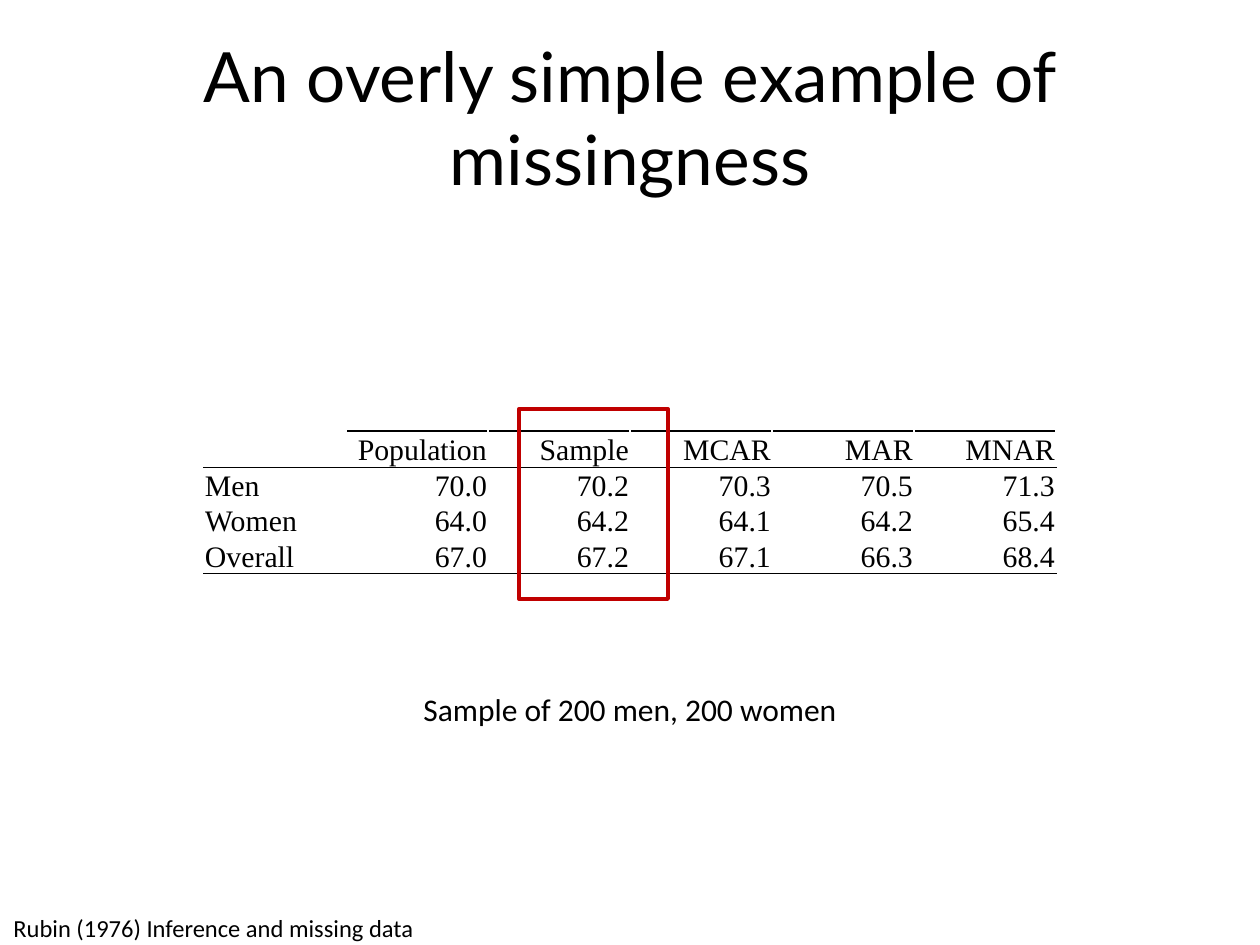
import pptx
import pptx.util
import pptx.dml.color
import pptx.enum.shapes
import pptx.enum.text
import pptx.oxml.ns
import lxml.etree
import collections

SCALE = 914400 / 126
BLACK = pptx.dml.color.RGBColor(0x00, 0x00, 0x00)
WHITE = pptx.dml.color.RGBColor(0xFF, 0xFF, 0xFF)
RED = pptx.dml.color.RGBColor(0xC0, 0x00, 0x00)
ALIGN = pptx.enum.text.PP_ALIGN
ANCHOR = pptx.enum.text.MSO_ANCHOR
Box = collections.namedtuple("Box", "left top width height")

HEIGHTS = [
    ["", "Population", "Sample", "MCAR", "MAR", "MNAR"],
    ["Men", "70.0", "70.2", "70.3", "70.5", "71.3"],
    ["Women", "64.0", "64.2", "64.1", "64.2", "65.4"],
    ["Overall", "67.0", "67.2", "67.1", "66.3", "68.4"],
]


def emu(pixels):
    return pptx.util.Emu(round(pixels * SCALE))


def set_values(target, values):
    for name, value in values.items():
        setattr(target, name, value)


def place(shape, box):
    set_values(shape, {name: emu(value) for name, value in box._asdict().items()})


def write(frame, text, font, size, align):
    para = frame.paragraphs[0]
    para.alignment = align
    span = para.add_run()
    span.text = text
    set_values(span.font, {"name": font, "size": pptx.util.Pt(size)})
    span.font.color.rgb = BLACK
    return para


def add_title(page, box, text):
    title = page.shapes.title
    place(title, box)
    set_values(title.text_frame, {
        "word_wrap": True,
        "vertical_anchor": ANCHOR.MIDDLE,
        "auto_size": pptx.enum.text.MSO_AUTO_SIZE.NONE,
    })
    write(title.text_frame, text, "Lato", 39.6, ALIGN.CENTER)


def add_label(page, box, text, size, align):
    label = page.shapes.add_textbox(*map(emu, box))
    label.text_frame.word_wrap = True
    write(label.text_frame, text, "Calibri", size, align)


def add_border(cell, side, color):
    properties = cell._tc.get_or_add_tcPr()
    tag = pptx.oxml.ns.qn
    line = lxml.etree.SubElement(properties, tag("a:" + side), w="12700")
    fill = lxml.etree.SubElement(line, tag("a:solidFill"))
    lxml.etree.SubElement(fill, tag("a:srgbClr"), val=str(color))


def format_cell(cell, text, row, column, last_row):
    set_values(cell, {
        "margin_left": emu(1),
        "margin_right": emu(1),
        "margin_top": emu(1),
        "margin_bottom": 0,
        "vertical_anchor": ANCHOR.BOTTOM,
    })
    align = ALIGN.RIGHT if column else ALIGN.LEFT
    para = write(cell.text_frame, text, "Times New Roman", 17, align)
    lxml.etree.SubElement(para._p, pptx.oxml.ns.qn("a:endParaRPr"), sz="1700")
    top = BLACK if row == 1 or (row == 0 and column) else WHITE
    bottom = BLACK if row in (0, last_row) else WHITE
    for side, color in {"lnL": WHITE, "lnR": WHITE, "lnT": top, "lnB": bottom}.items():
        add_border(cell, side, color)
    cell.fill.background()


def add_height_table(page, box, rows):
    table = page.shapes.add_table(len(rows), len(rows[0]), *map(emu, box)).table
    set_values(table, {"first_row": False, "horz_banding": False})
    for column in table.columns:
        column.width = emu(box.width / len(rows[0]))
    for row, texts in enumerate(rows):
        table.rows[row].height = emu(box.height / len(rows))
        for column, text in enumerate(texts):
            format_cell(table.cell(row, column), text, row, column, len(rows) - 1)


def add_highlight(page, box):
    frame = page.shapes.add_shape(
        pptx.enum.shapes.MSO_SHAPE.RECTANGLE, *map(emu, box))
    frame.shadow.inherit = False
    frame.fill.background()
    frame.line.color.rgb = RED
    frame.line.width = pptx.util.Pt(2.25)


def build_slide(deck):
    page = deck.slides.add_slide(deck.slide_layouts[5])
    add_title(page, Box(63, 38, 1134, 157), "An overly simple example of missingness")
    add_height_table(page, Box(204, 431, 852, 142), HEIGHTS)
    add_label(page, Box(407, 684, 446, 50), "Sample of 200 men, 200 women", 18, ALIGN.CENTER)
    add_highlight(page, Box(519, 409, 149, 190))
    add_label(page, Box(1, 907, 1260, 43), "Rubin (1976) Inference and missing data", 14, ALIGN.LEFT)


deck = pptx.Presentation()
set_values(deck, {"slide_width": emu(1260), "slide_height": emu(945)})
build_slide(deck)
deck.save("out.pptx")
